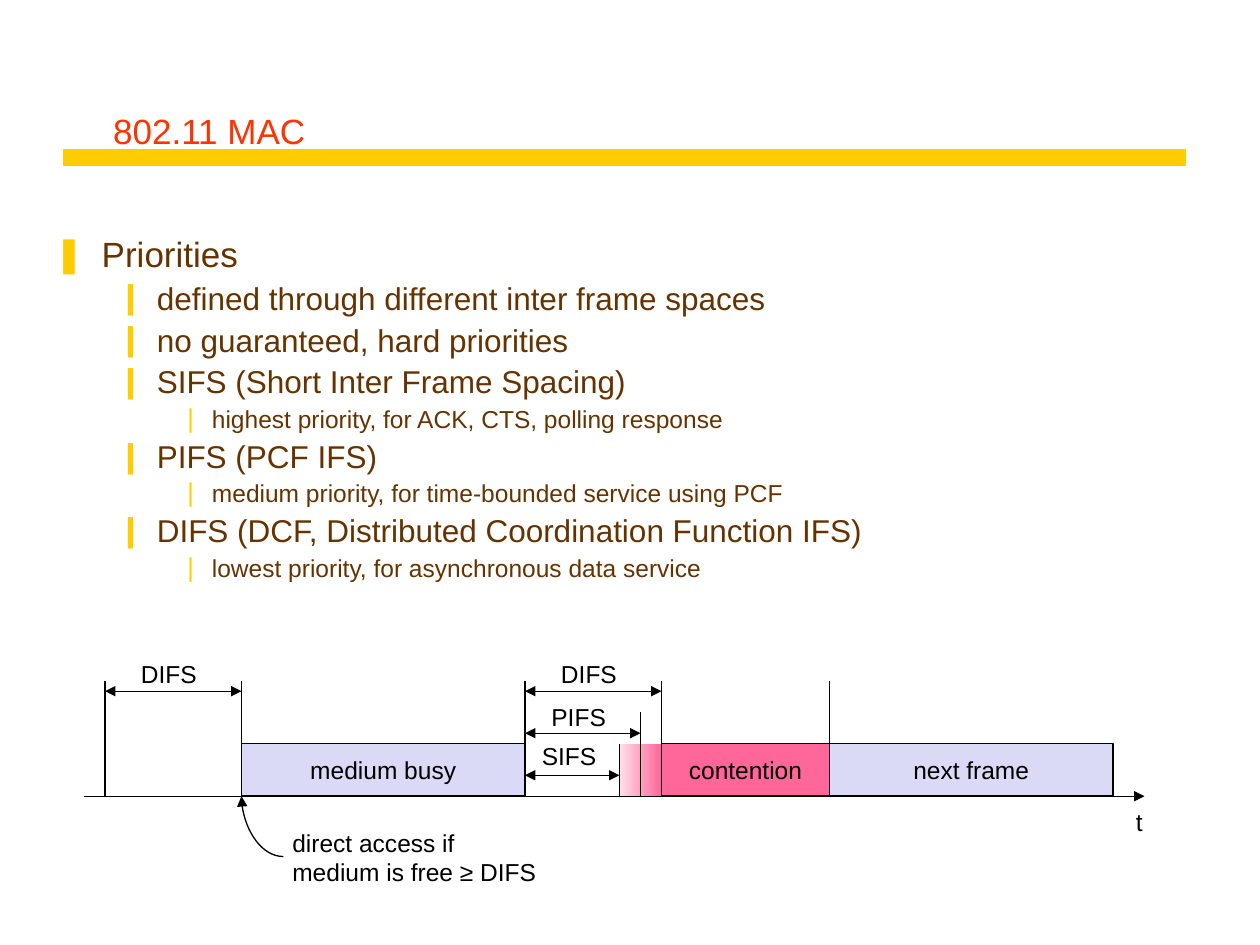
import pptx
import pptx.dml.color
import pptx.enum.shapes
import pptx.enum.text
import pptx.oxml
import pptx.oxml.ns
import pptx.util
from lxml import etree

Pt = pptx.util.Pt
RGBColor = pptx.dml.color.RGBColor
MSO_ANCHOR = pptx.enum.text.MSO_ANCHOR
MSO_CONNECTOR = pptx.enum.shapes.MSO_CONNECTOR
qn = pptx.oxml.ns.qn

BLACK = RGBColor(0x00, 0x00, 0x00)
YELLOW = RGBColor(0xFF, 0xCC, 0x00)
RED = RGBColor(0xFF, 0x33, 0x00)
BROWN = RGBColor(0x66, 0x33, 0x00)
LAVENDER = RGBColor(0xDA, 0xDA, 0xF6)
PINK = RGBColor(0xFF, 0x66, 0x99)
PALE_PINK = RGBColor(0xFF, 0xE0, 0xEA)

FONT = "Arial"
LABEL_SIZE = 14
INTERVAL_WIDTH = 50

# Moments on the time axis
IDLE, BUSY, FREE, SIFS, PIFS, DIFS, NEXT, END = 60, 138, 300, 354, 366, 378, 474, 636
AXIS_Y, BLOCK_TOP, PIFS_TOP, TICK_TOP = 455, 425, 407, 389

# Per outline level: size, left margin, hanging indent, space before, bullet
LEVELS = [
    (20, 27, 27, 5, "❚"),
    (18, 58.5, 22.5, 4.5, "❙"),
    (14, 90, 18, 3.5, "❘"),
]
OUTLINE = [
    (0, "Priorities"),
    (1, "defined through different inter frame spaces"),
    (1, "no guaranteed, hard priorities"),
    (1, "SIFS (Short Inter Frame Spacing)"),
    (2, "highest priority, for ACK, CTS, polling response"),
    (1, "PIFS (PCF IFS)"),
    (2, "medium priority, for time-bounded service using PCF"),
    (1, "DIFS (DCF, Distributed Coordination Function IFS)"),
    (2, "lowest priority, for asynchronous data service"),
]


def add_span(para, text, size, color):
    span = para.add_run()
    span.text = text
    span.font.name = FONT
    span.font.size = Pt(size)
    span.font.color.rgb = color


def add_text_box(page, left, top, width, height):
    box = page.shapes.add_textbox(Pt(left), Pt(top), Pt(width), Pt(height))
    box.text_frame.word_wrap = True
    return box.text_frame


def add_label(page, left, top, width, *lines):
    frame = add_text_box(page, left, top, width, 7.5 + 17 * len(lines))
    frame.word_wrap = False
    frame.auto_size = pptx.enum.text.MSO_AUTO_SIZE.SHAPE_TO_FIT_TEXT
    para = frame.paragraphs[0]
    for number, line in enumerate(lines):
        if number:
            para.add_line_break()
        add_span(para, line, LABEL_SIZE, BLACK)


def add_line(page, start, finish, color=BLACK, width=0.75, arrows=(),
             kind=MSO_CONNECTOR.STRAIGHT):
    """Draw a connector; arrows names its ends: "headEnd", "tailEnd"."""
    line = page.shapes.add_connector(kind, *map(Pt, start + finish))
    line.line.color.rgb = color
    line.line.width = Pt(width)
    outline = line.line._get_or_add_ln()
    for end in arrows:
        etree.SubElement(outline, qn(f"a:{end}"), type="triangle")
    etree.SubElement(line._element.spPr, qn("a:effectLst"))
    return line


def add_tick(page, x, top=TICK_TOP):
    add_line(page, (x, AXIS_Y), (x, top))


def add_interval(page, finish, y, text, left, top, start=FREE):
    add_line(page, (start, y), (finish, y), arrows=("headEnd", "tailEnd"))
    add_label(page, left, top, INTERVAL_WIDTH, text)


def add_block(page, start, finish):
    block = page.shapes.add_shape(
        pptx.enum.shapes.MSO_SHAPE.RECTANGLE,
        Pt(start), Pt(BLOCK_TOP), Pt(finish - start), Pt(AXIS_Y - BLOCK_TOP))
    block.shadow.inherit = False
    return block


def add_named_block(page, start, finish, text, color):
    block = add_block(page, start, finish)
    block.fill.solid()
    block.fill.fore_color.rgb = color
    block.line.color.rgb = BLACK
    block.line.width = Pt(0.75)
    frame = block.text_frame
    frame.word_wrap = False
    frame.vertical_anchor = MSO_ANCHOR.MIDDLE
    para = frame.paragraphs[0]
    para.alignment = pptx.enum.text.PP_ALIGN.CENTER
    add_span(para, text, LABEL_SIZE, BLACK)


def add_fading_block(page, start, finish):
    block = add_block(page, start, finish)
    block.line.fill.background()
    block.fill.gradient()
    block.fill.gradient_angle = 0
    for stop, color in zip(block.fill.gradient_stops, (PALE_PINK, PINK)):
        stop.color.rgb = color


def add_title(page):
    add_line(page, (36, 90), (678, 90), YELLOW, 10)
    frame = add_text_box(page, 57.6, 0, 612, 90)
    frame.vertical_anchor = MSO_ANCHOR.BOTTOM
    add_span(frame.paragraphs[0], "802.11 MAC", 20, RED)


def add_outline(page):
    frame = add_text_box(page, 24, 132, 672, 231)
    for number, (level, text) in enumerate(OUTLINE):
        para = frame.add_paragraph() if number else frame.paragraphs[0]
        size, margin, hang, before, bullet = LEVELS[level]
        para.level = level
        para.line_spacing = 0.9
        para.space_before = Pt(before)
        props = para._p.get_or_add_pPr()
        props.set("marL", str(Pt(margin)))
        props.set("indent", str(-Pt(hang)))
        bullet_color = etree.SubElement(props, qn("a:buClr"))
        etree.SubElement(bullet_color, qn("a:srgbClr"), val=str(YELLOW))
        etree.SubElement(props, qn("a:buFont"), typeface=FONT)
        etree.SubElement(props, qn("a:buChar"), char=bullet)
        add_span(para, text, size, BROWN)


def add_timeline(page):
    add_fading_block(page, SIFS, DIFS)
    add_line(page, (48, AXIS_Y), (654, AXIS_Y), arrows=("tailEnd",))
    add_label(page, 642, 457.5, 18, "t")
    add_named_block(page, BUSY, FREE, "medium busy", LAVENDER)
    add_named_block(page, NEXT, END, "next frame", LAVENDER)
    add_named_block(page, DIFS, NEXT, "contention", PINK)
    for x in (IDLE, BUSY, FREE, DIFS, NEXT):
        add_tick(page, x)
    add_tick(page, PIFS, PIFS_TOP)
    add_tick(page, SIFS, BLOCK_TOP)

    add_interval(page, BUSY, 395, "DIFS", 73.5, 373, start=IDLE)
    add_interval(page, DIFS, 395, "DIFS", 313.5, 373)
    add_interval(page, PIFS, 419, "PIFS", 308, 397.5)
    add_interval(page, SIFS, 443, "SIFS", 302.5, 420)


def add_access_note(page):
    add_label(page, 160, 469.5, 160, "direct access if ", "medium is free ≥ DIFS")
    curve = add_line(page, (162, 489.5), (BUSY, AXIS_Y), arrows=("tailEnd",),
                     kind=MSO_CONNECTOR.CURVE)
    # A quarter bend: leaves sideways and arrives upright
    curve._element.spPr.find(qn("a:prstGeom")).set("prst", "curvedConnector2")


def main():
    deck = pptx.Presentation()
    deck.slide_width, deck.slide_height = Pt(720), Pt(540)
    page = deck.slides.add_slide(deck.slide_layouts[6])
    add_title(page)
    add_outline(page)
    add_timeline(page)
    add_access_note(page)
    deck.save("out.pptx")


if __name__ == "__main__":
    main()
